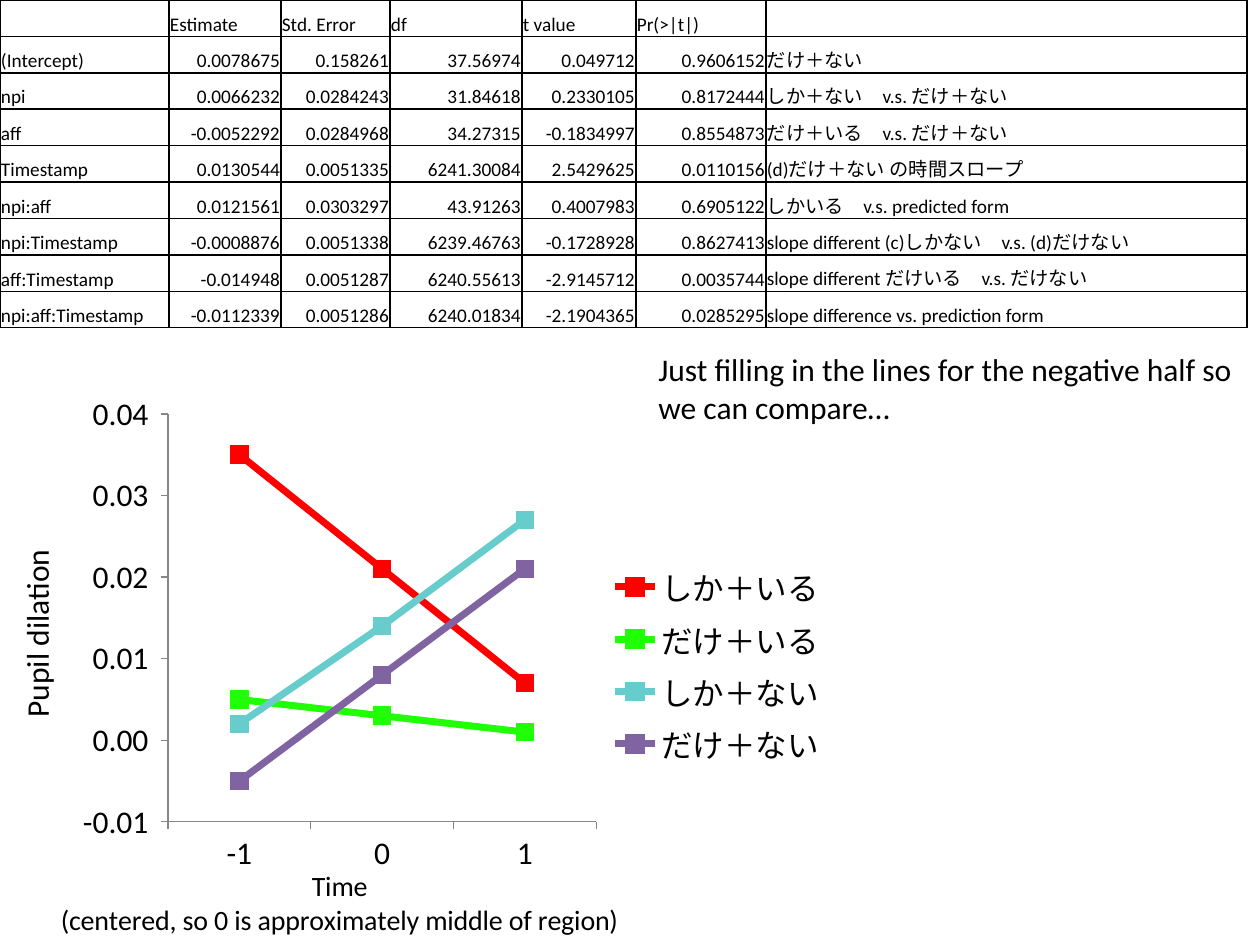
from lxml import etree
from pptx import Presentation
from pptx.chart.data import CategoryChartData
from pptx.dml.color import RGBColor
from pptx.enum.chart import (XL_AXIS_CROSSES, XL_CHART_TYPE, XL_LEGEND_POSITION,
                             XL_MARKER_STYLE, XL_TICK_LABEL_POSITION, XL_TICK_MARK)
from pptx.enum.text import MSO_ANCHOR, PP_ALIGN
from pptx.oxml import parse_xml
from pptx.oxml.ns import nsdecls, qn
from pptx.util import Emu, Pt

LINE_MARKERS = XL_CHART_TYPE.LINE_MARKERS
SQUARE = XL_MARKER_STYLE.SQUARE
OUTSIDE = XL_TICK_MARK.OUTSIDE
LOW = XL_TICK_LABEL_POSITION.LOW
MINIMUM = XL_AXIS_CROSSES.MINIMUM
LEGEND_RIGHT = XL_LEGEND_POSITION.RIGHT
BOTTOM = MSO_ANCHOR.BOTTOM
LEFT, RIGHT = PP_ALIGN.LEFT, PP_ALIGN.RIGHT

BLACK = RGBColor(0x00, 0x00, 0x00)
WHITE = RGBColor(0xFF, 0xFF, 0xFF)
GREY = RGBColor(0x86, 0x86, 0x86)
RED = RGBColor(0xFF, 0x00, 0x00)
GREEN = RGBColor(0x21, 0xFF, 0x06)
TEAL = RGBColor(0x66, 0xCC, 0xCC)
PURPLE = RGBColor(0x80, 0x64, 0xA2)
FONT = "Calibri"
PX_PER_INCH = 126

COLUMN_WIDTHS = [169, 112, 109, 132, 114, 130, 481]
TABLE_HEIGHT = 328
MODEL_ROWS = [
    ["", "Estimate", "Std. Error", "df", "t value", "Pr(>|t|)", ""],
    ["(Intercept)", "0.0078675", "0.158261", "37.56974", "0.049712", "0.9606152",
     "だけ＋ない"],
    ["npi", "0.0066232", "0.0284243", "31.84618", "0.2330105", "0.8172444",
     "しか＋ない　v.s. だけ＋ない"],
    ["aff", "-0.0052292", "0.0284968", "34.27315", "-0.1834997", "0.8554873",
     "だけ＋いる　v.s. だけ＋ない"],
    ["Timestamp", "0.0130544", "0.0051335", "6241.30084", "2.5429625", "0.0110156",
     "(d)だけ＋ない の時間スロープ"],
    ["npi:aff", "0.0121561", "0.0303297", "43.91263", "0.4007983", "0.6905122",
     "しかいる　v.s. predicted form"],
    ["npi:Timestamp", "-0.0008876", "0.0051338", "6239.46763", "-0.1728928", "0.8627413",
     "slope different (c)しかない　v.s. (d)だけない"],
    ["aff:Timestamp", "-0.014948", "0.0051287", "6240.55613", "-2.9145712", "0.0035744",
     "slope different だけいる　v.s. だけない"],
    ["npi:aff:Timestamp", "-0.0112339", "0.0051286", "6240.01834", "-2.1904365", "0.0285295",
     "slope difference vs. prediction form"],
]

TIMES = [-1, 0, 1]
CONDITIONS = [
    ("しか＋いる", [0.035, 0.021, 0.007], RED),
    ("だけ＋いる", [0.005, 0.003, 0.001], GREEN),
    ("しか＋ない", [0.002, 0.014, 0.027], TEAL),
    ("だけ＋ない", [-0.005, 0.008, 0.021], PURPLE),
]
PLOT_AREA = {"x": 0.2, "y": 0.05, "w": 0.51, "h": 0.73}


def px(length):
    return Emu(round(length * 914400 / PX_PER_INCH))


def style_font(font, size):
    font.name = FONT
    font.size = Pt(size)
    font.bold = False
    font.color.rgb = BLACK


def add_span(para, text, size):
    span = para.add_run()
    span.text = text
    style_font(span.font, size)


def add_borders(cell):
    properties = cell._tc.get_or_add_tcPr()
    for index, side in enumerate(("lnL", "lnR", "lnT", "lnB")):
        properties.insert(index, parse_xml(
            f'<a:{side} {nsdecls("a")} w="12700"><a:solidFill>'
            f'<a:srgbClr val="{BLACK}"/></a:solidFill></a:{side}>'))


def fill_cell(cell, text, align):
    cell.fill.solid()
    cell.fill.fore_color.rgb = WHITE
    cell.margin_left = cell.margin_right = cell.margin_top = px(1)
    cell.margin_bottom = 0
    cell.vertical_anchor = BOTTOM
    para = cell.text_frame.paragraphs[0]
    para.alignment = align
    if text:
        add_span(para, text, 11)
    else:
        # An empty cell still needs a small line height
        etree.SubElement(para._p, qn("a:endParaRPr")).set("sz", "1100")
    add_borders(cell)


def add_model_table(page):
    frame = page.shapes.add_table(len(MODEL_ROWS), len(COLUMN_WIDTHS), 0, 0,
                                  px(sum(COLUMN_WIDTHS)), px(TABLE_HEIGHT))
    table = frame.table
    table.first_row = table.horz_banding = False
    for column, width in zip(table.columns, COLUMN_WIDTHS):
        column.width = px(width)
    for r, values in enumerate(MODEL_ROWS):
        for c, text in enumerate(values):
            is_number = r > 0 and 0 < c < len(values) - 1
            fill_cell(table.cell(r, c), text, RIGHT if is_number else LEFT)


def style_axis(axis, title_lines, title_size):
    axis.has_major_gridlines = False
    axis.major_tick_mark = OUTSIDE
    axis.tick_label_position = LOW
    axis.format.line.color.rgb = GREY
    style_font(axis.tick_labels.font, 18)
    frame = axis.axis_title.text_frame
    for index, line in enumerate(title_lines):
        para = frame.add_paragraph() if index else frame.paragraphs[0]
        add_span(para, line, title_size)


def style_series(series, color):
    series.smooth = False
    series.format.line.color.rgb = color
    series.format.line.width = Pt(4)
    marker = series.marker
    marker.style = SQUARE
    marker.size = 10
    marker.format.fill.solid()
    marker.format.fill.fore_color.rgb = color
    marker.format.line.color.rgb = color


def place_plot_area(chart):
    plot_area = chart._chartSpace.chart.plotArea
    for old in plot_area.findall(qn("c:layout")):
        plot_area.remove(old)
    modes = "".join(f'<c:{key}Mode val="edge"/>' for key in "xy")
    sizes = "".join(f'<c:{key} val="{value}"/>' for key, value in PLOT_AREA.items())
    plot_area.insert(0, parse_xml(
        f'<c:layout {nsdecls("c")}><c:manualLayout><c:layoutTarget val="inner"/>'
        f'{modes}{sizes}</c:manualLayout></c:layout>'))


def add_dilation_chart(page):
    data = CategoryChartData()
    data.categories = TIMES
    for name, values, _ in CONDITIONS:
        data.add_series(name, values)
    chart = page.shapes.add_chart(LINE_MARKERS, 0, px(386), px(840), px(559), data).chart
    style_font(chart.font, 18)
    chart.has_title = False
    chart.has_legend = True
    chart.legend.position = LEGEND_RIGHT
    chart.legend.include_in_layout = False
    style_font(chart.legend.font, 18)
    chart.plots[0].vary_by_categories = False
    for series, (_, _, color) in zip(chart.plots[0].series, CONDITIONS):
        style_series(series, color)

    # Axes
    style_axis(chart.category_axis,
               ["Time", "(centered, so 0 is approximately middle of region)"], 16)
    value_axis = chart.value_axis
    style_axis(value_axis, ["Pupil dilation"], 18)
    value_axis.minimum_scale, value_axis.maximum_scale = -0.01, 0.04
    value_axis.major_unit = 0.01
    value_axis.crosses = MINIMUM
    value_axis.tick_labels.number_format = "0.00_ "
    value_axis.tick_labels.number_format_is_linked = False
    place_plot_area(chart)


def add_note(page, text):
    box = page.shapes.add_textbox(px(646), px(344), px(601), px(89))
    box.text_frame.word_wrap = True
    add_span(box.text_frame.paragraphs[0], text, 18)


def main():
    deck = Presentation()
    deck.slide_width, deck.slide_height = px(1260), px(945)
    page = deck.slides.add_slide(deck.slide_layouts[6])
    add_model_table(page)
    add_dilation_chart(page)
    add_note(page, "Just filling in the lines for the negative half so we can compare…")
    deck.save("out.pptx")


if __name__ == "__main__":
    main()
